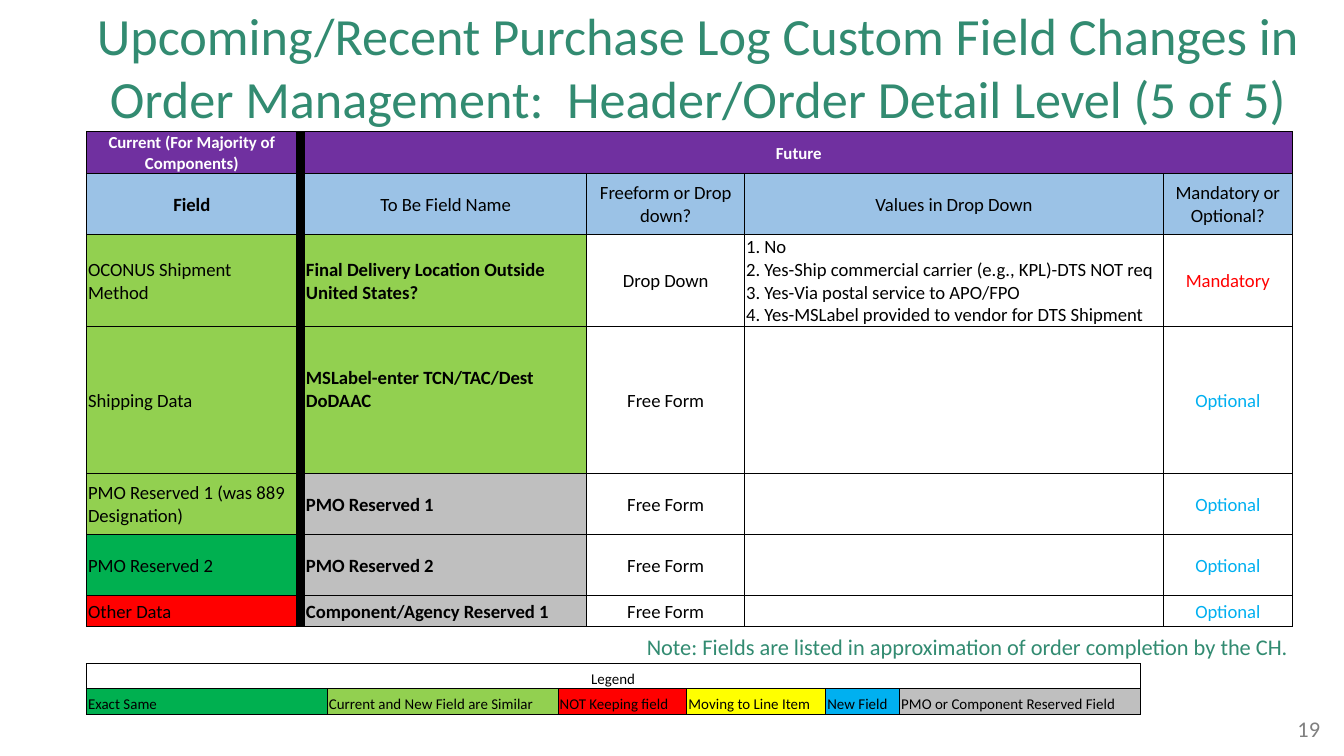
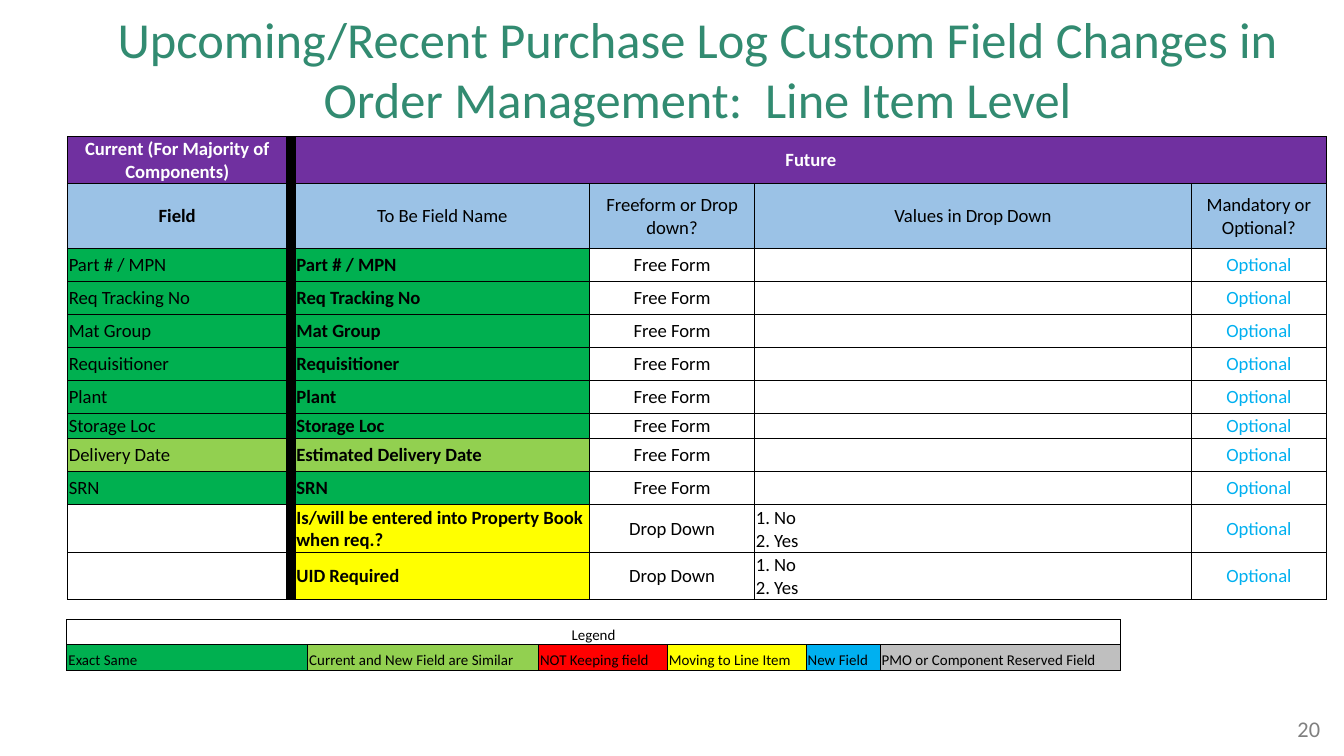
"""Build two slides that compare current and future purchase log fields."""
from lxml import etree
from pptx import Presentation
from pptx.dml.color import RGBColor
from pptx.enum import text as t
from pptx.oxml import ns
from pptx.util import Pt

TEAL = RGBColor(0x32, 0x8B, 0x71)
GRAY = RGBColor(0x80, 0x80, 0x80)
PURPLE = RGBColor(0x70, 0x30, 0xA0)
HEADER_BLUE = RGBColor(0x9B, 0xC2, 0xE6)
GREEN = RGBColor(0x00, 0xB0, 0x50)
LIME = RGBColor(0x92, 0xD0, 0x50)
RED = RGBColor(0xFF, 0x00, 0x00)
YELLOW = RGBColor(0xFF, 0xFF, 0x00)
SKY = RGBColor(0x00, 0xB0, 0xF0)
SILVER = RGBColor(0xBF, 0xBF, 0xBF)
BLACK = RGBColor(0, 0, 0)
WHITE = RGBColor(0xFF, 0xFF, 0xFF)
FONT = "Calibri"
LEFT, CENTER, RIGHT = t.PP_ALIGN.LEFT, t.PP_ALIGN.CENTER, t.PP_ALIGN.RIGHT
TOP, MIDDLE, BOTTOM = t.MSO_ANCHOR.TOP, t.MSO_ANCHOR.MIDDLE, t.MSO_ANCHOR.BOTTOM

FREE, DROP = "Free Form", "Drop Down"
MANDATORY, OPTIONAL = "Mandatory", "Optional"
NECESSITY_COLORS = {MANDATORY: RED, OPTIONAL: SKY}
YES_NO = "1. No\n2. Yes"
SHIPPING = ("1. No\n2. Yes-Ship commercial carrier (e.g., KPL)-DTS NOT req\n"
            "3. Yes-Via postal service to APO/FPO\n"
            "4. Yes-MSLabel provided to vendor for DTS Shipment")
BANDS = ["Current (For Majority of Components)", "", "Future"]
HEADINGS = ["Field", "", "To Be Field Name", "Freeform or Drop down?",
            "Values in Drop Down", "Mandatory or Optional?"]
COLUMNS = [112.5, 4.3, 151, 84.8, 224, 69.5]
LEGEND = [("Exact Same", GREEN, 129), ("Current and New Field are Similar", LIME, 123.7),
          ("NOT Keeping field", RED, 69), ("Moving to Line Item", YELLOW, 74.4),
          ("New Field", SKY, 39.6), ("PMO or Component Reserved Field", SILVER, 128.8)]
TITLE = "Upcoming/Recent Purchase Log Custom Field Changes in Order Management:  "
NOTE = "Note: Fields are listed in approximation of order completion by the CH."

HEADER_FIELDS = [
    ("OCONUS Shipment Method", LIME, "Final Delivery Location Outside United States?", LIME,
     DROP, SHIPPING, MANDATORY),
    ("Shipping Data", LIME, "MSLabel-enter TCN/TAC/Dest DoDAAC", LIME, FREE, "", OPTIONAL),
    ("PMO Reserved 1 (was 889 Designation)", LIME, "PMO Reserved 1", SILVER, FREE, "", OPTIONAL),
    ("PMO Reserved 2", GREEN, "PMO Reserved 2", SILVER, FREE, "", OPTIONAL),
    ("Other Data", RED, "Component/Agency Reserved 1", SILVER, FREE, "", OPTIONAL),
]
SAME_NAMES = ["Part # / MPN", "Req Tracking No", "Mat Group", "Requisitioner", "Plant",
              "Storage Loc"]
LINE_FIELDS = [
    *[(name, GREEN, name, GREEN, FREE, "", OPTIONAL) for name in SAME_NAMES],
    ("Delivery Date", LIME, "Estimated Delivery Date", LIME, FREE, "", OPTIONAL),
    ("SRN", GREEN, "SRN", GREEN, FREE, "", OPTIONAL),
    ("", None, "Is/will be entered into Property Book when req.?", YELLOW, DROP, YES_NO, OPTIONAL),
    ("", None, "UID Required", YELLOW, DROP, YES_NO, OPTIONAL),
]
SLIDES = [
    dict(number="19", title=TITLE + "Header/Order Detail Level (5 of 5)", title_size=28,
         title_height=70.5, fields=HEADER_FIELDS, left=46.5, top=70.5, scale=1, band_size=9,
         heights=[22.5, 32.7, 49.3, 78.7, 32.7, 32.7, 16.6],
         note=NOTE, legend=(46.3, 355.5)),
    dict(number="20", title=TITLE + "Line Item Level", title_size=27,
         title_height=73.4, fields=LINE_FIELDS, left=36.2, top=73.1, scale=1.044, band_size=10,
         heights=[25.2, 34.8] + [17.7] * 5 + [13.4, 17.7, 17.7, 25.7, 24.6],
         note=None, legend=(35.8, 332)),
]


def write(frame, content, size=10, color=BLACK, bold=False, align=LEFT, anchor=None,
          spacing=None, before=0, margins=None):
    """Fill a text frame with one formatted paragraph."""
    frame.word_wrap = True
    if anchor is not None:
        frame.vertical_anchor = anchor
    if margins:
        (frame.margin_left, frame.margin_top,
         frame.margin_right, frame.margin_bottom) = map(Pt, margins)
    para = frame.paragraphs[0]
    para.text = content
    para.alignment = align
    para.space_before = Pt(before)
    if spacing:
        para.line_spacing = Pt(spacing)
    for span in para.runs:
        span.font.name, span.font.size, span.font.bold = FONT, Pt(size), bold
        span.font.color.rgb = color
    if not content:
        para._p.get_or_add_endParaRPr().set("sz", str(size * 100))


def fill_cell(cell, content, fill=None, anchor=MIDDLE, margins=(0.7, 0.7, 0.7, 0), **style):
    """Write a cell and give it thin black borders and a fill."""
    properties = cell._tc.get_or_add_tcPr()
    for side in "LRTB":
        line = etree.SubElement(properties, ns.qn(f"a:ln{side}"), w=str(Pt(0.5)))
        solid = etree.SubElement(line, ns.qn("a:solidFill"))
        etree.SubElement(solid, ns.qn("a:srgbClr"), val=str(BLACK))
    if fill is None:
        cell.fill.background()
    else:
        cell.fill.solid()
        cell.fill.fore_color.rgb = fill
    cell.vertical_anchor = anchor
    (cell.margin_left, cell.margin_top,
     cell.margin_right, cell.margin_bottom) = map(Pt, margins)
    write(cell.text_frame, content, **style)


def add_grid(page, left, top, widths, heights):
    """Add a table without banding and size its columns and rows."""
    table = page.shapes.add_table(len(heights), len(widths), Pt(left), Pt(top),
                                  Pt(sum(widths)), Pt(sum(heights))).table
    table.first_row = table.horz_banding = False
    for column, width in zip(table.columns, widths):
        column.width = Pt(width)
    for row, height in zip(table.rows, heights):
        row.height = Pt(height)
    return table


def add_fields(page, fields, left, top, scale, heights, band_size):
    """Add the comparison of current and future fields."""
    table = add_grid(page, left, top, [width * scale for width in COLUMNS], heights)
    table.cell(0, 2).merge(table.cell(0, 5))
    for index in range(len(COLUMNS)):
        band = BANDS[index] if index < len(BANDS) else ""
        divider = index == 1
        fill_cell(table.cell(0, index), band, fill=BLACK if divider else PURPLE,
                  size=band_size, color=WHITE, bold=True, align=CENTER)
        fill_cell(table.cell(1, index), HEADINGS[index], fill=BLACK if divider else HEADER_BLUE,
                  bold=index == 0, align=CENTER)
    for row, (current, current_fill, future, future_fill, kind, values, need) in enumerate(fields, 2):
        lift = 12 if future.startswith("MSLabel") else 0
        cells = [
            dict(content=current, fill=current_fill),
            dict(content="", fill=BLACK),
            dict(content=future, fill=future_fill, bold=True, margins=(0.7, 0.7, 0.7, lift)),
            dict(content=kind, align=CENTER),
            dict(content=values, anchor=BOTTOM),
            dict(content=need, color=NECESSITY_COLORS[need], align=CENTER),
        ]
        for index, options in enumerate(cells):
            fill_cell(table.cell(row, index), **options)


def add_legend(page, left, top):
    """Add the colour legend."""
    table = add_grid(page, left, top, [width for _, _, width in LEGEND], [13.4, 13.9])
    table.cell(0, 0).merge(table.cell(0, len(LEGEND) - 1))
    for index, (label, fill, _) in enumerate(LEGEND):
        fill_cell(table.cell(0, index), "" if index else "Legend", anchor=TOP, size=8,
                  align=CENTER, spacing=11.4, before=2.5, margins=(0, 2, 0, 0))
        fill_cell(table.cell(1, index), label, fill=fill, anchor=TOP, size=8,
                  spacing=12.7, before=1.4, margins=(0.9, 0.7, 0, 0))


def add_text(page, content, left, top, width, height, **style):
    """Add a text box."""
    box = page.shapes.add_textbox(Pt(left), Pt(top), Pt(width), Pt(height))
    write(box.text_frame, content, **style)


def build_slide(deck, number, title, title_size, title_height, note, legend, **fields):
    """Add one slide with its title, tables, note and number."""
    page = deck.slides.add_slide(deck.slide_layouts[5])
    heading = page.shapes.title
    heading.left, heading.top = Pt(27.4), Pt(0)
    heading.width, heading.height = Pt(692.6), Pt(title_height)
    heading.text_frame.auto_size = t.MSO_AUTO_SIZE.NONE
    write(heading.text_frame, title, size=title_size, color=TEAL, align=CENTER, anchor=MIDDLE)
    add_fields(page, **fields)
    if note:
        add_text(page, note, 345.6, 338.4, 350.6, 15, size=12, color=TEAL,
                 before=0.8, margins=(0.9, 0.9, 0, 0))
    add_legend(page, *legend)
    add_text(page, number, 670.3, 379.4, 44, 21.8, size=12, color=GRAY, align=RIGHT)


def main():
    """Build and save the deck."""
    deck = Presentation()
    deck.slide_width, deck.slide_height = Pt(720), Pt(405)
    for slide in SLIDES:
        build_slide(deck, **slide)
    deck.save("out.pptx")


if __name__ == "__main__":
    main()
